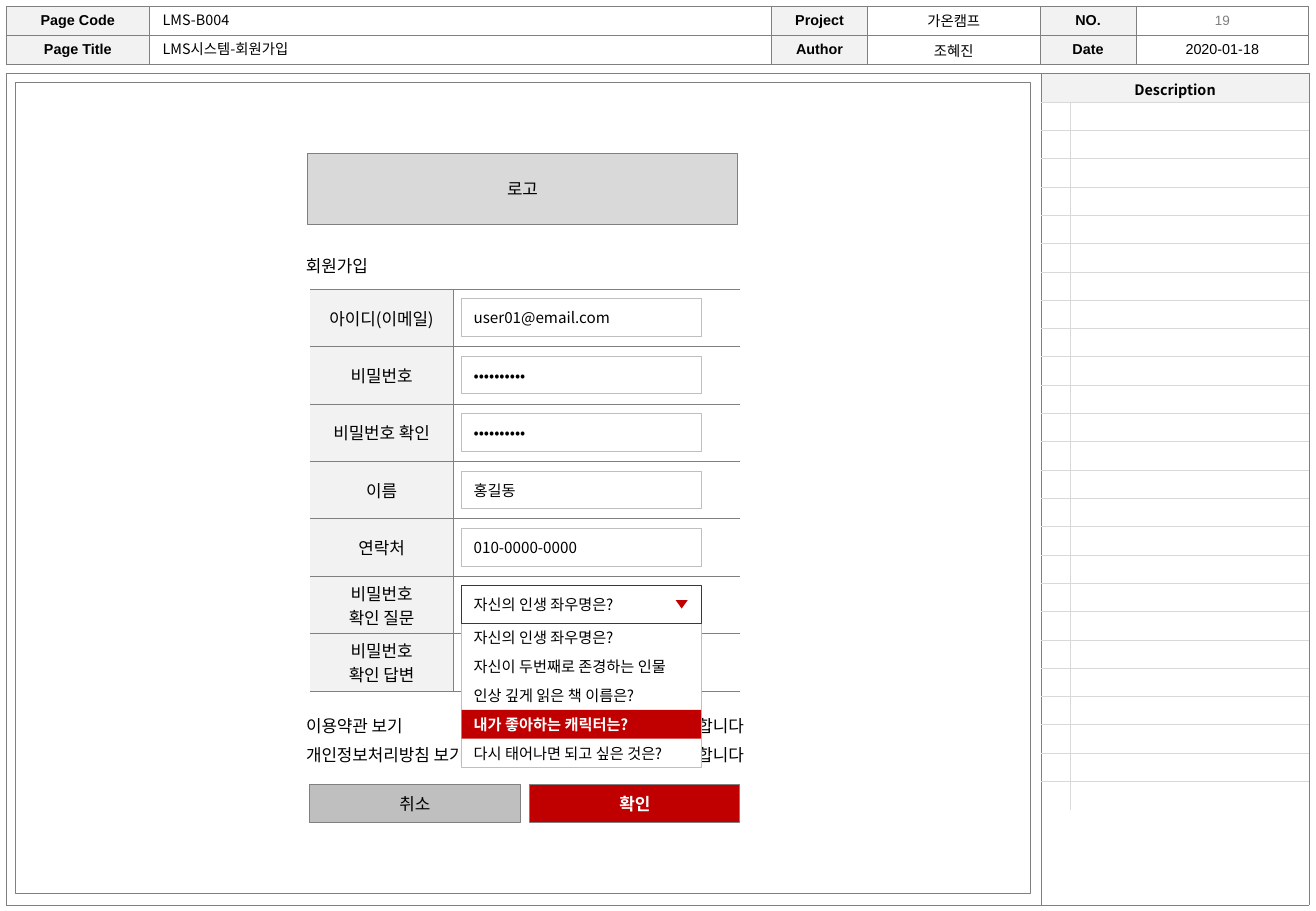
from dataclasses import dataclass

from lxml.etree import SubElement
from pptx import Presentation
from pptx.dml.color import RGBColor
from pptx.enum.shapes import MSO_SHAPE
from pptx.enum.text import MSO_ANCHOR, MSO_AUTO_SIZE, PP_ALIGN
from pptx.oxml import parse_xml
from pptx.oxml.ns import nsdecls, qn
from pptx.util import Inches, Pt


@dataclass(frozen=True)
class Theme:
    sans: str = "Noto Sans CJK KR"
    header_font: str = "Arial"
    black: str = "000000"
    white: str = "FFFFFF"
    red: str = "C00000"
    border: str = "808080"
    page_number: str = "7F7F7F"
    field_border: str = "BFBFBF"
    grid: str = "D9D9D9"
    label_fill: str = "F2F2F2"
    body: float = 10
    field: float = 9
    header: float = 8.5
    small: float = 8
    empty: float = 6
    thin: float = 0.25
    line: float = 0.5


THEME = Theme()


@dataclass(frozen=True)
class Box:
    left: float
    top: float
    width: float
    height: float

    def inside(self, left, top, width, height):
        """Return a box whose corner is measured from this box's corner."""
        return Box(self.left + left, self.top + top, width, height)

    def lengths(self):
        return [Inches(value) for value in (self.left, self.top, self.width, self.height)]


def write(frame, text, size, color=THEME.black, bold=False, align=PP_ALIGN.LEFT,
          font=THEME.sans, spacing=None):
    """Fill a text frame, one paragraph for each line of text."""
    frame.text = text
    for paragraph in frame.paragraphs:
        paragraph.alignment = align
        if spacing:
            paragraph.line_spacing = spacing
        paragraph.font.size = Pt(size)
        paragraph.font.bold = bold
        paragraph.font.name = font
        paragraph.font.color.rgb = RGBColor.from_string(color)
        properties = paragraph._p.pPr.find(qn("a:defRPr"))
        SubElement(properties, qn("a:ea")).set("typeface", THEME.sans)


def add_text(slide, box, text, size, wrap=True, **style):
    shape = slide.shapes.add_textbox(*box.lengths())
    shape.text_frame.word_wrap = wrap
    shape.text_frame.auto_size = MSO_AUTO_SIZE.SHAPE_TO_FIT_TEXT
    write(shape.text_frame, text, size, **style)


def add_block(slide, box, text="", size=THEME.field, fill=THEME.white, line=None,
              kind=MSO_SHAPE.RECTANGLE, **style):
    shape = slide.shapes.add_shape(kind, *box.lengths())
    shape.shadow.inherit = False
    if fill:
        shape.fill.solid()
        shape.fill.fore_color.rgb = RGBColor.from_string(fill)
    else:
        shape.fill.background()
    if line:
        shape.line.color.rgb = RGBColor.from_string(line)
        shape.line.width = Pt(THEME.line)
    else:
        shape.line.fill.background()
    if text:
        shape.text_frame.word_wrap = True
        shape.text_frame.vertical_anchor = MSO_ANCHOR.MIDDLE
        write(shape.text_frame, text, size, **style)
    return shape


def set_borders(cell, sides, color, width):
    """Draw the sides named by letters from LRTB and clear the others."""
    properties = cell._tc.get_or_add_tcPr()
    for index, side in enumerate("LRTB"):
        paint = (f'<a:solidFill><a:srgbClr val="{color}"/></a:solidFill>'
                 if side in sides else "<a:noFill/>")
        properties.insert(index, parse_xml(
            f'<a:ln{side} {nsdecls("a")} w="{int(Pt(width))}">{paint}</a:ln{side}>'))


def add_table(slide, box, columns, rows, color, width, sides, margin=0.04):
    """Add a plain table; sides(row, column) gives the borders of a cell."""
    table = slide.shapes.add_table(len(rows), len(columns), *box.lengths()).table
    table.first_row = table.horz_banding = False
    for column, size in zip(table.columns, columns):
        column.width = Inches(size)
    for row_index, size in enumerate(rows):
        table.rows[row_index].height = Inches(size)
        for column_index in range(len(columns)):
            cell = table.cell(row_index, column_index)
            cell.fill.background()
            cell.vertical_anchor = MSO_ANCHOR.MIDDLE
            cell.margin_left = cell.margin_right = Inches(margin)
            cell.margin_top = cell.margin_bottom = Inches(0.02)
            write(cell.text_frame, "", THEME.empty)
            set_borders(cell, sides(row_index, column_index), color, width)
    return table


def fill_label(cell, text, size, **style):
    cell.fill.solid()
    cell.fill.fore_color.rgb = RGBColor.from_string(THEME.label_fill)
    write(cell.text_frame, text, size, align=PP_ALIGN.CENTER, **style)


def add_page_header(slide, box):
    rows = [("Page Code", "", "Project", "가온캠프", "NO.", ""),
            ("Page Title", "", "Author", "조혜진", "Date", "2020-01-18")]
    half = box.height / 2
    table = add_table(slide, box, [1.18, 5.12, 0.79, 1.42, 0.79, 1.42], [half] * 2,
                      THEME.border, THEME.thin, lambda row, column: "LRTB")
    for row_index, row in enumerate(rows):
        for column_index, text in enumerate(row):
            cell = table.cell(row_index, column_index)
            if column_index % 2 == 0:
                fill_label(cell, text, THEME.header, bold=True, font=THEME.header_font)
            elif text:
                write(cell.text_frame, text, THEME.header, align=PP_ALIGN.CENTER,
                      font=THEME.header_font)
    add_text(slide, box.inside(9.3, 0, 1.42, half), "19", THEME.small,
             color=THEME.page_number, align=PP_ALIGN.CENTER, font=THEME.header_font)
    for index, text in enumerate(("LMS-B004", "LMS시스템-회원가입")):
        add_text(slide, box.inside(1.19, index * half - 0.01, 5.12, half), text, THEME.header)


def add_page_frame(slide, box):
    """Draw the outer frame with the screen area and the description list."""
    screen_width, heading = 8.52, 0.24
    list_width = box.width - screen_width
    table = add_table(slide, box, [screen_width, list_width],
                      [heading, box.height - heading], THEME.border, THEME.thin,
                      lambda row, column: "LRTB" if column else ("LRT", "LRB")[row])
    description = table.cell(0, 1)
    description.margin_top = Inches(0.05)
    fill_label(description, "Description", THEME.header, bold=True)
    add_block(slide, box.inside(0.08, 0.08, 8.35, 6.68), line=THEME.border)

    count, list_height = 25, 5.83
    add_table(slide, box.inside(screen_width, heading, list_width, list_height),
              [0.24, list_width - 0.24], [list_height / count] * count,
              THEME.grid, THEME.line,
              lambda row, column: ("R", "L")[column] + ("TB" if row < count - 1 else "T"))


def add_question_list(slide, box):
    """Draw the open list of questions with its selected field on top."""
    questions = ["자신의 인생 좌우명은?", "자신이 두번째로 존경하는 인물",
                 "인상 깊게 읽은 책 이름은?", "내가 좋아하는 캐릭터는?",
                 "다시 태어나면 되고 싶은 것은?"]
    chosen, field_height = 3, 0.31
    step = (box.height - field_height) / len(questions)
    add_block(slide, box.inside(0, field_height, box.width, box.height - field_height),
              line=THEME.field_border)
    for index, question in enumerate(questions):
        selected = index == chosen
        add_block(slide, box.inside(0, field_height + index * step, box.width, step), question,
                  fill=THEME.red if selected else None, bold=selected,
                  color=THEME.white if selected else THEME.black)
    add_block(slide, box.inside(0, 0, box.width, field_height), questions[0], line=THEME.red)
    arrow = add_block(slide, box.inside(1.76, 0.12, 0.1, 0.07), fill=THEME.red,
                      kind=MSO_SHAPE.ISOSCELES_TRIANGLE)
    arrow.rotation = 180


def add_sign_up_form(slide, box):
    centered = {"size": THEME.body, "align": PP_ALIGN.CENTER, "line": THEME.border}
    caption = {"size": THEME.body, "wrap": False, "spacing": 1.5}
    add_block(slide, box.inside(0, 0, 3.54, 0.59), "로고", fill=THEME.grid, **centered)
    add_text(slide, box.inside(-0.11, 0.71, 0.76, 0.32), "회원가입", **caption)

    fields = [("아이디(이메일)", "user01@email.com"), ("비밀번호", "••••••••••"),
              ("비밀번호 확인", "••••••••••"), ("이름", "홍길동"),
              ("연락처", "010-0000-0000"), ("비밀번호\n확인 질문", ""),
              ("비밀번호\n확인 답변", "")]
    table_top, table_height = 1.12, 3.31
    step = table_height / len(fields)
    table = add_table(slide, box.inside(0.02, table_top, 3.54, table_height), [1.18, 2.36],
                      [step] * len(fields), THEME.border, THEME.line,
                      lambda row, column: ("R", "L")[column] + "TB")
    for index, (label, value) in enumerate(fields):
        fill_label(table.cell(index, 0), label, THEME.body)
        if value:
            add_block(slide, box.inside(1.27, table_top + 0.08 + index * step, 1.97, 0.31),
                      value, line=THEME.field_border)

    add_block(slide, box.inside(0.02, 5.2, 1.73, 0.31), "취소", fill=THEME.field_border,
              **centered)
    add_block(slide, box.inside(1.83, 5.2, 1.73, 0.31), "확인", fill=THEME.red,
              color=THEME.white, bold=True, **centered)
    terms = [("이용약관 보기", 1.09), ("개인정보처리방침 보기", 1.65)]
    for index, (text, width) in enumerate(terms):
        top = 4.5 + index * 0.24
        add_text(slide, box.inside(-0.11, top, width, 0.32), text, **caption)
        add_text(slide, box.inside(2.79, top, 0.9, 0.32), "동의합니다",
                 align=PP_ALIGN.RIGHT, **caption)
    add_question_list(slide, box.inside(1.27, 3.56, 1.97, 1.5))


def main():
    presentation = Presentation()
    presentation.slide_width, presentation.slide_height = Inches(10.83), Inches(7.5)
    slide = presentation.slides.add_slide(presentation.slide_layouts[6])
    add_page_frame(slide, Box(0.05, 0.6, 10.72, 6.85))
    add_page_header(slide, Box(0.05, 0.05, 10.72, 0.48))
    add_sign_up_form(slide, Box(2.53, 1.26, 3.56, 5.51))
    presentation.save("out.pptx")


if __name__ == "__main__":
    main()
